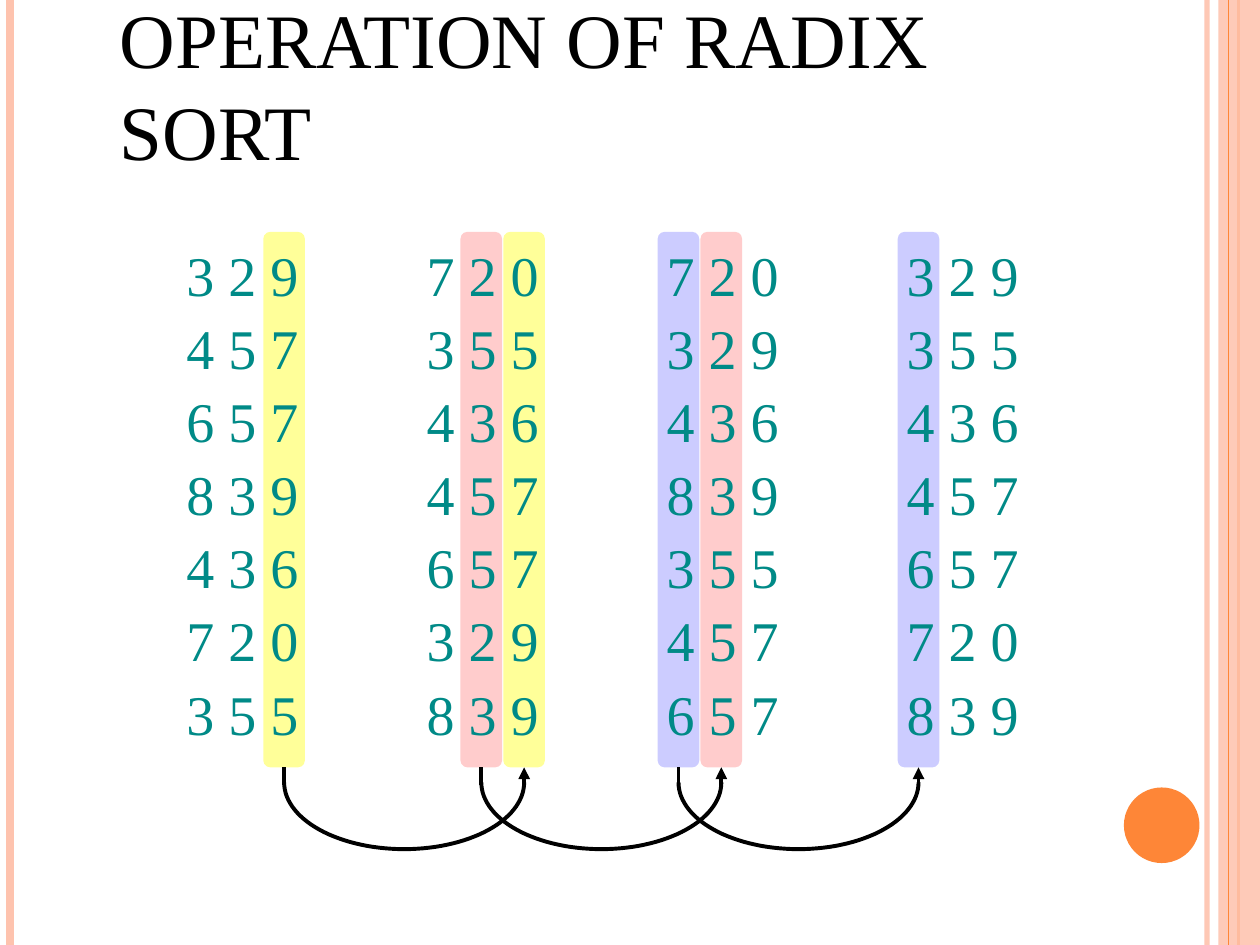
"""Build the radix sort slide on a grid of 100 columns by 75 rows."""
import dataclasses
import math
import typing

import pptx
import pptx.dml.color
import pptx.enum.shapes
import pptx.enum.text
import pptx.oxml.ns
import pptx.util
from lxml import etree

KIND = pptx.enum.shapes.MSO_SHAPE
LINK = pptx.enum.shapes.MSO_CONNECTOR.STRAIGHT
TEXT = pptx.enum.text


@dataclasses.dataclass(frozen=True)
class Theme:
    font: str = "Times New Roman"
    head: float = 44
    key: float = 32
    line: float = 2.25
    ink: str = "000000"
    teal: str = "008A87"
    peach: str = "FEC3AE"
    orange: str = "FE8637"
    bands: tuple = ("CCCCFF", "FFCCCC", "FFFF99")


@dataclasses.dataclass(frozen=True)
class Rail:
    col: float
    tint: str
    width: float
    alpha: int = 100


@dataclasses.dataclass(frozen=True)
class Box:
    col: float
    row: float
    cols: float
    rows: float

    def place(self) -> tuple:
        return tuple(cell(n) for n in dataclasses.astuple(self))


THEME = Theme()
COLS, ROWS = 100, 75
LEFT, STEP = 13.8, 19.05
TOP, PITCH = 18.6, 5.8
BAND_TOP, BAND_ROWS, BAND_COLS = 18.4, 42.5, 3.3
BAND_GAP, SLOT = 0.3, 3.4
ARC_TOP, ARC_ROWS, STUB = 62.1, 5.3, 62.3
KEYS = ["329", "457", "657", "839", "436", "720", "355"]
UNDER = [Rail(95.8, THEME.peach, 3, 91), Rail(0.8, THEME.peach, 4.5),
         Rail(98.3, THEME.orange, 1.5)]
OVER = Rail(97.5, THEME.orange, 0.75)


def cell(count: float) -> int:
    return pptx.util.Inches(count / 10)


def tone(tint: str) -> pptx.dml.color.RGBColor:
    return pptx.dml.color.RGBColor.from_string(tint)


def add_tag(node: typing.Any, name: str, **attrs: str) -> None:
    etree.SubElement(node, pptx.oxml.ns.qn(name), attrs)


def fade(node: typing.Any, alpha: int) -> None:
    if alpha < 100:
        paint = next(node.iter(pptx.oxml.ns.qn("a:srgbClr")))
        add_tag(paint, "a:alpha", val=str(alpha * 1000))


def add_block(shapes: typing.Any, kind: typing.Any, box: Box, tint: str,
              alpha: int = 100) -> typing.Any:
    block = shapes.add_shape(kind, *box.place())
    block.shadow.inherit = False
    block.fill.solid()
    block.fill.fore_color.rgb = tone(tint)
    block.line.fill.background()
    fade(block.fill._xPr, alpha)
    return block


def add_line(shapes: typing.Any, col: float, start: float, end: float,
             tint: str, width: float) -> typing.Any:
    line = shapes.add_connector(LINK, cell(col), cell(start), cell(col), cell(end))
    line.line.color.rgb = tone(tint)
    line.line.width = pptx.util.Pt(width)
    add_tag(line._element.spPr, "a:effectLst")
    return line


def add_rail(shapes: typing.Any, rail: Rail) -> None:
    line = add_line(shapes, rail.col, 0, ROWS, rail.tint, rail.width)
    fade(line.line._ln, rail.alpha)


def style(frame: typing.Any, size: float, tint: str, align: typing.Any) -> None:
    part = frame.paragraphs[0]
    part.alignment = align
    font = part.runs[0].font
    font.name, font.size = THEME.font, pptx.util.Pt(size)
    font.color.rgb = tone(tint)


def add_title(slide: typing.Any, text: str) -> None:
    title = slide.shapes.title
    title.left, title.top, title.width, title.height = Box(8.5, 2, 83, 12.5).place()
    frame = title.text_frame
    frame.text = text
    frame.word_wrap = True
    frame.auto_size = TEXT.MSO_AUTO_SIZE.NONE
    frame.vertical_anchor = TEXT.MSO_ANCHOR.BOTTOM
    frame.margin_right = cell(2)
    style(frame, THEME.head, THEME.ink, TEXT.PP_ALIGN.LEFT)


def add_keys(shapes: typing.Any, col: float, keys: list[str]) -> None:
    group = shapes.add_group_shape()
    for index, key in enumerate(keys):
        box = Box(col, TOP + index * PITCH, 10.9, 6.4)
        frame = group.shapes.add_textbox(*box.place()).text_frame
        frame.text = " ".join(key)
        frame.word_wrap = False
        frame.auto_size = TEXT.MSO_AUTO_SIZE.SHAPE_TO_FIT_TEXT
        style(frame, THEME.key, THEME.teal, TEXT.PP_ALIGN.CENTER)


def band_col(stage: int, digit: int) -> float:
    return LEFT + stage * STEP + BAND_GAP + digit * SLOT


def add_band(shapes: typing.Any, stage: int, digit: int) -> typing.Any:
    box = Box(band_col(stage, digit), BAND_TOP, BAND_COLS, BAND_ROWS)
    return add_block(shapes, KIND.ROUNDED_RECTANGLE, box, THEME.bands[digit])


def add_loop(shapes: typing.Any, stage: int, digit: int, source: typing.Any,
             target: typing.Any) -> None:
    group = shapes.add_group_shape().shapes
    start = band_col(stage, digit) + BAND_COLS / 2
    base = BAND_TOP + BAND_ROWS
    reach = STEP / 2
    angles = [math.pi * n / 60 for n in range(61)]
    dots = [(cell(start + reach * (1 - math.cos(a))),
             cell(ARC_TOP + ARC_ROWS * math.sin(a))) for a in angles]
    pen = group.build_freeform(*dots[0])
    pen.add_line_segments(dots[1:], close=False)
    arc = pen.convert_to_shape()
    arc.shadow.inherit = False
    arc.fill.background()
    arc.line.color.rgb = tone(THEME.ink)
    arc.line.width = pptx.util.Pt(THEME.line)
    stem = add_line(group, start, base, STUB, THEME.ink, THEME.line)
    stem.begin_connect(source, 2)
    tip = add_line(group, start + STEP, STUB, base, THEME.ink, THEME.line)
    tip.end_connect(target, 2)
    add_tag(tip.line._ln, "a:tailEnd", type="triangle")


def main() -> None:
    deck = pptx.Presentation()
    deck.slide_width, deck.slide_height = cell(COLS), cell(ROWS)
    slide = deck.slides.add_slide(deck.slide_layouts[5])
    shapes = slide.shapes
    for rail in UNDER:
        add_rail(shapes, rail)
    add_block(shapes, KIND.RECTANGLE, Box(96.7, 0, 3.3, ROWS), THEME.peach, 87)
    add_rail(shapes, OVER)
    add_block(shapes, KIND.OVAL, Box(89.2, 62.5, 6, 6), THEME.orange)
    add_title(slide, "OPERATION OF RADIX SORT")
    pairs = [(add_band(shapes, stage, 2 - stage), add_band(shapes, stage + 1, 2 - stage))
             for stage in range(3)]
    keys = KEYS
    add_keys(shapes, LEFT, keys)
    for stage, (source, target) in enumerate(pairs):
        digit = 2 - stage
        keys = sorted(keys, key=lambda item: item[digit])
        add_keys(shapes, LEFT + (stage + 1) * STEP, keys)
        add_loop(shapes, stage, digit, source, target)
    deck.save("out.pptx")


if __name__ == "__main__":
    main()
